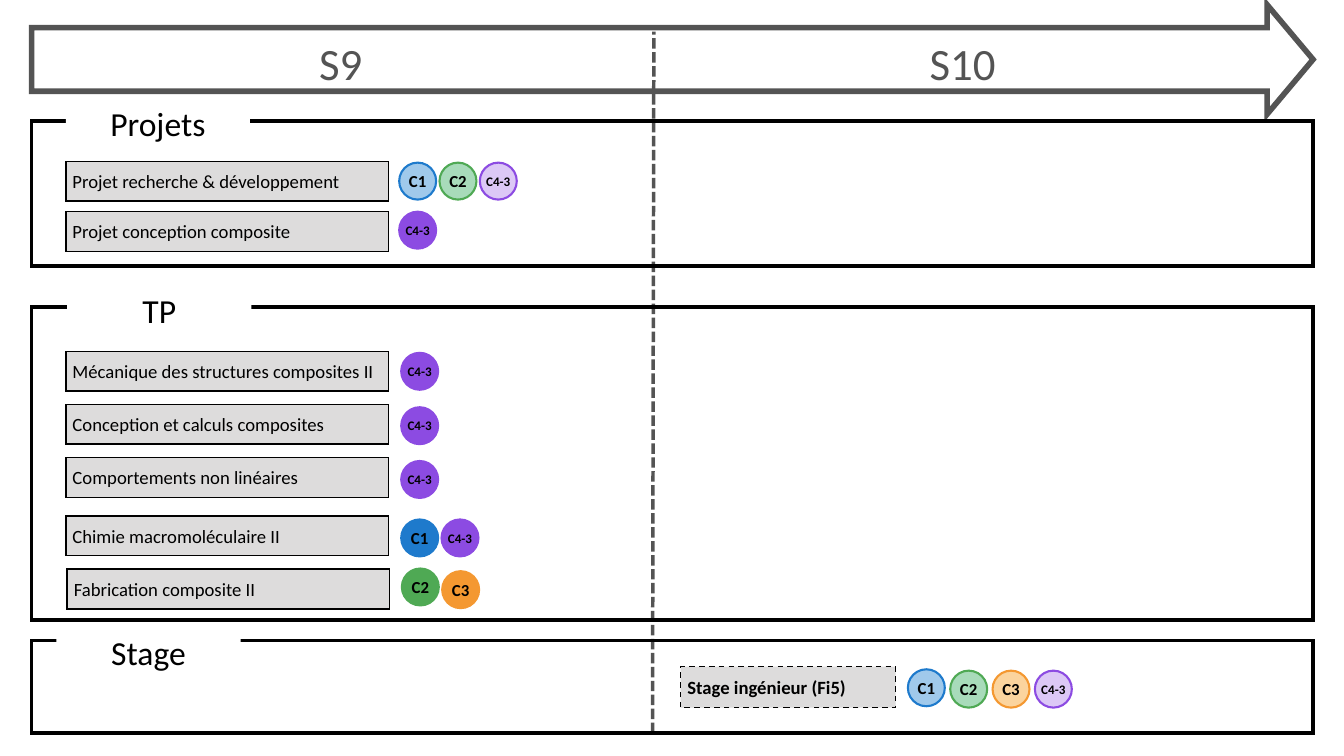
from lxml import etree
from pptx import Presentation
from pptx.dml.color import RGBColor
from pptx.enum.dml import MSO_LINE
from pptx.enum.shapes import MSO_CONNECTOR, MSO_SHAPE
from pptx.enum.text import MSO_ANCHOR, PP_ALIGN
from pptx.oxml.ns import qn
from pptx.util import Inches, Pt

BLACK = RGBColor(0x00, 0x00, 0x00)
WHITE = RGBColor(0xFF, 0xFF, 0xFF)
DARK_GRAY = RGBColor(0x54, 0x54, 0x54)
LIGHT_GRAY = RGBColor(0xDD, 0xDC, 0xDC)
BLUE = RGBColor(0x1E, 0x7A, 0xCC)
PALE_BLUE = RGBColor(0xA0, 0xC9, 0xEB)
GREEN = RGBColor(0x4F, 0xA9, 0x54)
PALE_GREEN = RGBColor(0xA8, 0xDB, 0xBA)
ORANGE = RGBColor(0xF4, 0x98, 0x31)
PALE_ORANGE = RGBColor(0xFB, 0xD4, 0x9E)
PURPLE = RGBColor(0x8C, 0x4B, 0xE2)

FONT = "Calibri"
FRAME_LEFT, FRAME_WIDTH = 0.47, 19.07
BADGE_SIZE = 0.55

# code: strong colour, pale colour (None means transparent), text size
SKILLS = {
    "C1": (BLUE, PALE_BLUE, 18),
    "C2": (GREEN, PALE_GREEN, 18),
    "C3": (ORANGE, PALE_ORANGE, 18),
    "C4-3": (PURPLE, None, 14),
}

SEMESTERS = [("S9", 0.5, 9.14), ("S10", 9.81, 9.03)]

SECTIONS = [
    ("Projets", 1.8, 2.16, 0.98, 1.52, MSO_ANCHOR.MIDDLE),
    ("TP", 4.57, 4.66, 1, 4.26, MSO_ANCHOR.TOP),
    ("Stage", 9.53, 1.38, 0.84, 9.35, MSO_ANCHOR.TOP),
]

COURSES = [
    ("Projet recherche & développement", 0.98, 2.4, 5.94, True,
     [("C1", 2.42), ("C2", 2.42), ("C4-3", 2.42)]),
    ("Projet conception composite", 0.98, 3.15, 5.94, False, [("C4-3", 3.15)]),
    ("Mécanique des structures composites II", 0.98, 5.23, 5.97, False, [("C4-3", 5.25)]),
    ("Conception et calculs composites", 0.98, 6.02, 5.97, False, [("C4-3", 6.06)]),
    ("Comportements non linéaires", 0.98, 6.81, 5.97, False, [("C4-3", 6.86)]),
    ("Chimie macromoléculaire II", 0.98, 7.68, 5.97, False, [("C1", 7.73), ("C4-3", 7.73)]),
    ("Fabrication composite II", 1, 8.47, 5.98, False, [("C2", 8.46), ("C3", 8.5)]),
]

INTERNSHIP_BADGES = [("C1", 9.96), ("C2", 9.98), ("C3", 9.98), ("C4-3", 9.98)]


def add_box(page, kind, left, top, width, height, fill=None, line=None, weight=1.5, dash=None):
    box = page.shapes.add_shape(kind, Inches(left), Inches(top), Inches(width), Inches(height))
    box.shadow.inherit = False
    if fill is None:
        box.fill.background()
    else:
        box.fill.solid()
        box.fill.fore_color.rgb = fill
    if line is None:
        box.line.fill.background()
    else:
        box.line.color.rgb = line
        box.line.width = Pt(weight)
        if dash is not None:
            box.line.dash_style = dash
        etree.SubElement(box.line._get_or_add_ln(), qn("a:miter"), lim="800000")
    return box


def write(box, text, size, color=BLACK, bold=False, align=PP_ALIGN.CENTER,
          anchor=MSO_ANCHOR.MIDDLE):
    frame = box.text_frame
    frame.word_wrap = True
    frame.vertical_anchor = anchor
    paragraph = frame.paragraphs[0]
    paragraph.text = text
    paragraph.alignment = align
    paragraph.font.name = FONT
    paragraph.font.size = Pt(size)
    paragraph.font.bold = bold
    paragraph.font.color.rgb = color
    return paragraph


def remove_insets(box):
    frame = box.text_frame
    frame.margin_left = frame.margin_right = frame.margin_top = frame.margin_bottom = 0


def add_timeline(page):
    arrow = add_box(page, MSO_SHAPE.RIGHT_ARROW, FRAME_LEFT, 0.07, FRAME_WIDTH, 1.63,
                    line=DARK_GRAY, weight=6)
    arrow.adjustments[0] = 0.58
    arrow.adjustments[1] = 0.42
    for name, left, width in SEMESTERS:
        box = page.shapes.add_textbox(Inches(left), Inches(0.46), Inches(width), Inches(1.7))
        remove_insets(box)
        paragraph = write(box, name, 48, DARK_GRAY, anchor=MSO_ANCHOR.TOP)
        paragraph.line_spacing = Pt(62.4)


def add_divider(page):
    divider = page.shapes.add_connector(MSO_CONNECTOR.STRAIGHT, Inches(9.71), Inches(10.91),
                                        Inches(9.73), Inches(0.47))
    divider.line.color.rgb = DARK_GRAY
    divider.line.width = Pt(3.75)
    divider.line.dash_style = MSO_LINE.SQUARE_DOT
    etree.SubElement(divider._element.spPr, qn("a:effectLst"))


def add_section(page, title, top, height, title_left, title_top, anchor):
    add_box(page, MSO_SHAPE.RECTANGLE, FRAME_LEFT, top, FRAME_WIDTH, height,
            line=BLACK, weight=3.75)
    label = add_box(page, MSO_SHAPE.RECTANGLE, title_left, title_top, 2.74, 0.61, fill=WHITE)
    write(label, title, 36, anchor=anchor)


def add_label(page, text, left, top, width, height, bold=False, dash=None):
    label = add_box(page, MSO_SHAPE.RECTANGLE, left, top, width, height,
                    fill=LIGHT_GRAY, line=BLACK, dash=dash)
    write(label, text, 20, bold=bold, align=PP_ALIGN.LEFT)


def add_badge(page, code, left, top, pale):
    strong, light, size = SKILLS[code]
    fill = light if pale and light is not None else strong
    badge = add_box(page, MSO_SHAPE.OVAL, left, top, BADGE_SIZE, BADGE_SIZE,
                    fill=fill, line=strong, weight=2.25)
    if pale and light is None:
        color = badge._element.spPr.find(qn("a:solidFill"))[0]
        etree.SubElement(color, qn("a:alpha"), val="30000")
    remove_insets(badge)
    write(badge, code, size, bold=True)


def add_badges(page, badges, left, pitch, pale):
    for index, (code, top) in enumerate(badges):
        add_badge(page, code, left + index * pitch, top, pale)


def main():
    deck = Presentation()
    deck.slide_width = Inches(20)
    deck.slide_height = Inches(11.25)
    page = deck.slides.add_slide(deck.slide_layouts[6])

    add_timeline(page)
    add_divider(page)
    for section in SECTIONS:
        add_section(page, *section)
    for text, left, top, badge_left, pale, badges in COURSES:
        add_label(page, text, left, top, 4.8, 0.59)
        add_badges(page, badges, badge_left, 0.6, pale)
    add_label(page, "Stage ingénieur (Fi5)", 10.13, 9.92, 3.2, 0.61, bold=True,
              dash=MSO_LINE.DASH)
    add_badges(page, INTERNSHIP_BADGES, 13.51, 0.63, True)

    deck.save("out.pptx")


if __name__ == "__main__":
    main()
